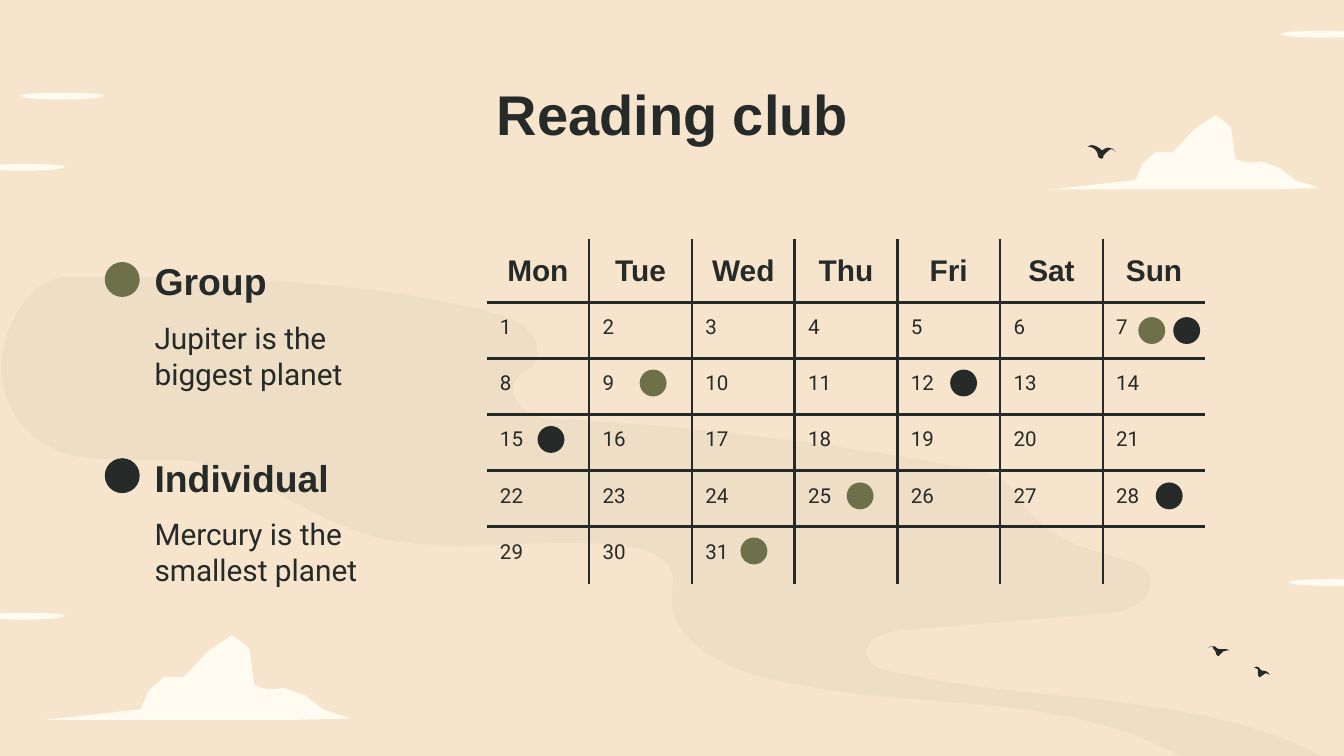
from dataclasses import dataclass
from itertools import product

from lxml import etree
from pptx import Presentation
from pptx import util as u
from pptx.dml.color import RGBColor
from pptx.enum import shapes, text
from pptx.oxml.ns import qn

Outline = tuple[tuple[float, ...], ...]  # start point, then lines (2 numbers) and curves (6)


@dataclass(frozen=True)
class Theme:
    sand: str = "F6E5CC"
    trail: str = "EEDEC5"
    cloud: str = "FFFBF0"
    ink: str = "262A29"
    olive: str = "6E704A"
    heading_font: str = "Arial"
    body_font: str = "Roboto"
    title_size: int = 30
    heading_size: int = 20
    body_size: int = 16
    date_size: int = 11
    grid_width: float = 1.5


THEME = Theme()


@dataclass(frozen=True)
class Dot:
    left: float
    top: float
    color: str
    size: float = 0.2


@dataclass(frozen=True)
class ClubType:
    name: str
    description: str
    top: float
    color: str


CLUB_TYPES = (
    ClubType("Group", "Jupiter is the biggest planet", 1.87, THEME.olive),
    ClubType("Individual", "Mercury is the smallest planet", 3.33, THEME.ink),
)
MEETINGS = (
    Dot(4, 3.17, THEME.ink), Dot(4.76, 2.75, THEME.olive), Dot(6.3, 3.59, THEME.olive),
    Dot(8.47, 2.36, THEME.olive), Dot(8.73, 2.36, THEME.ink), Dot(8.6, 3.59, THEME.ink),
    Dot(7.07, 2.75, THEME.ink), Dot(5.51, 4, THEME.olive),
)
WEEKDAYS = ("Mon", "Tue", "Wed", "Thu", "Fri", "Sat", "Sun")
DAYS_IN_MONTH = 31
ROW_HEIGHTS = (0.47, *[1.67 / 4] * 4, 0.43)
CALENDAR_WIDTH = 5.35
WISP_PLACES = ((0.15, 0.69), (-0.14, 4.56), (-0.14, 1.22), (9.53, 0.23), (9.59, 4.31))

TRAIL: Outline = (
    (0.55, 2.06), (1.55, 2.06, 2.67, 2.07, 3.64, 2.32), (3.74, 2.35, 3.85, 2.38, 3.92, 2.45),
    (4, 2.52, 4.03, 2.64, 3.96, 2.72), (3.91, 2.78, 3.81, 2.8, 3.82, 2.91),
    (3.83, 2.97, 3.86, 3.02, 3.91, 3.05), (4, 3.11, 4.1, 3.12, 4.21, 3.12),
    (5.19, 3.18, 6.16, 3.29, 7.12, 3.47), (7.25, 3.49, 7.39, 3.52, 7.49, 3.6),
    (7.52, 3.62, 7.54, 3.65, 7.56, 3.68), (7.68, 3.88, 7.9, 4.03, 8.14, 4.1), (8.38, 4.17),
    (8.45, 4.19, 8.54, 4.22, 8.56, 4.3), (8.57, 4.36, 8.55, 4.42, 8.51, 4.46),
    (8.42, 4.55, 8.29, 4.56, 8.17, 4.57), (7.69, 4.61, 7.2, 4.65, 6.72, 4.69),
    (6.59, 4.7, 6.41, 4.76, 6.45, 4.88), (6.46, 4.93, 6.51, 4.97, 6.57, 4.98),
    (7.71, 5.26, 9.01, 5.11, 10, 5.72), (8.86, 5.67), (7.94, 5.11, 6.73, 5.31, 5.67, 5.04),
    (5.35, 4.95, 4.99, 4.76, 5, 4.45), (5, 4.39, 5.02, 4.32, 5, 4.26),
    (4.96, 4.14, 4.82, 4.09, 4.69, 4.07), (4.54, 4.05, 4.39, 4.04, 4.23, 4.04),
    (3.97, 4.04, 3.7, 4.06, 3.43, 4.06), (3.2, 4.06, 2.96, 4.05, 2.74, 3.98),
    (2.27, 3.84, 1.89, 3.5, 1.4, 3.43), (1.33, 3.42, 1.25, 3.42, 1.18, 3.42),
    (1.08, 3.42, 0.98, 3.42, 0.89, 3.42), (0.74, 3.42, 0.6, 3.41, 0.47, 3.37),
    (0.19, 3.27, 0, 3, 0.01, 2.72), (0.02, 2.45, 0.21, 2.06, 0.51, 2.06),
)
CLOUD: Outline = (
    (1.22, 0), (1.3, 0.04, 1.34, 0.09, 1.34, 0.09), (1.37, 0.32),
    (1.41, 0.34, 1.45, 0.35, 1.49, 0.35), (1.53, 0.35, 1.56, 0.34, 1.56, 0.34),
    (1.7, 0.39), (1.82, 0.48), (2, 0.54), (1.61, 0.55), (0, 0.55), (0.63, 0.48),
    (0.68, 0.36), (0.78, 0.27), (0.91, 0.27), (1.07, 0.1), (1.22, 0),
)
WISP: Outline = (
    (0.31, 0), (0.48, 0, 0.62, 0.01, 0.62, 0.02), (0.62, 0.04, 0.48, 0.05, 0.31, 0.05),
    (0.14, 0.05, 0, 0.04, 0, 0.02), (0, 0.01, 0.14, 0, 0.31, 0),
)
BIRDS: tuple[Outline, ...] = (
    ((8.12, 1.08), (8.15, 1.08, 8.18, 1.1, 8.2, 1.12), (8.2, 1.12),
     (8.21, 1.11, 8.23, 1.1, 8.24, 1.1), (8.24, 1.1, 8.25, 1.1, 8.25, 1.1),
     (8.27, 1.1, 8.29, 1.11, 8.3, 1.13), (8.29, 1.12, 8.28, 1.11, 8.27, 1.11),
     (8.26, 1.11, 8.25, 1.12, 8.25, 1.12), (8.23, 1.13, 8.22, 1.15, 8.21, 1.16),
     (8.21, 1.17, 8.21, 1.18, 8.2, 1.18), (8.2, 1.18, 8.19, 1.18, 8.19, 1.18),
     (8.18, 1.18, 8.17, 1.17, 8.17, 1.16), (8.17, 1.12, 8.13, 1.09, 8.09, 1.09),
     (8.1, 1.08, 8.11, 1.08, 8.12, 1.08)),
    ((9.35, 4.96), (9.36, 4.96, 9.37, 4.97, 9.37, 4.97), (9.38, 4.98, 9.38, 4.99, 9.39, 4.99),
     (9.39, 4.99), (9.39, 4.99, 9.39, 4.99, 9.39, 4.99), (9.42, 4.99, 9.44, 5, 9.45, 5.02),
     (9.44, 5.01, 9.43, 5.01, 9.42, 5.01), (9.41, 5.01, 9.4, 5.02, 9.39, 5.03),
     (9.38, 5.03, 9.38, 5.04, 9.37, 5.04), (9.36, 5.03, 9.36, 5.02, 9.36, 5.02),
     (9.36, 5.01, 9.36, 4.99, 9.36, 4.98), (9.35, 4.98, 9.35, 4.97, 9.34, 4.97),
     (9.34, 4.97, 9.33, 4.97, 9.33, 4.97), (9.34, 4.97, 9.34, 4.96, 9.35, 4.96)),
    ((9.02, 4.81), (9.03, 4.81, 9.04, 4.81, 9.04, 4.81), (9.05, 4.82, 9.06, 4.83, 9.07, 4.83),
     (9.07, 4.83), (9.08, 4.83, 9.09, 4.83, 9.1, 4.83), (9.12, 4.83, 9.14, 4.83, 9.15, 4.84),
     (9.15, 4.84, 9.14, 4.84, 9.13, 4.84), (9.11, 4.84, 9.09, 4.85, 9.08, 4.87),
     (9.08, 4.88, 9.07, 4.88, 9.07, 4.88), (9.06, 4.88, 9.06, 4.88, 9.06, 4.88),
     (9.05, 4.88, 9.05, 4.88, 9.05, 4.87), (9.05, 4.85, 9.04, 4.84, 9.03, 4.83),
     (9.03, 4.82, 9.02, 4.81, 9.01, 4.81), (9, 4.81, 9, 4.81, 8.99, 4.82),
     (9, 4.81, 9.01, 4.81, 9.02, 4.81)),
)


def paint(shape, color: str) -> None:
    shape.shadow.inherit = False
    shape.fill.solid()
    shape.fill.fore_color.rgb = RGBColor.from_string(color)
    shape.line.fill.background()


def draw_outline(slide, outline: Outline, color: str, left: float = 0, top: float = 0,
                 scale: float = 1) -> None:
    """Draw all points as lines, then join each curve's three points into one Bezier."""
    points = [(u.Inches(left + x * scale), u.Inches(top + y * scale))
              for segment in outline for x, y in zip(segment[::2], segment[1::2])]
    builder = slide.shapes.build_freeform(*points[0])
    builder.add_line_segments(points[1:], close=True)
    shape = builder.convert_to_shape()
    lines = iter(list(shape.element.iter(qn("a:lnTo"))))
    for segment in outline[1:]:
        first = next(lines)
        if len(segment) == 6:
            first.tag = qn("a:cubicBezTo")
            for line in (next(lines), next(lines)):
                first.append(line[0])
                line.getparent().remove(line)
    paint(shape, color)


def draw_dot(slide, dot: Dot) -> None:
    box = map(u.Inches, (dot.left, dot.top, dot.size, dot.size))
    paint(slide.shapes.add_shape(shapes.MSO_SHAPE.OVAL, *box), dot.color)


def add_run(paragraph, words: str, size: int, heading: bool) -> None:
    run = paragraph.add_run()
    run.text = words
    run.font.name = THEME.heading_font if heading else THEME.body_font
    run.font.size = u.Pt(size)
    run.font.bold = heading
    run.font.color.rgb = RGBColor.from_string(THEME.ink)


def set_margins(target) -> None:
    target.margin_left = target.margin_right = u.Inches(0.1)
    target.margin_top = target.margin_bottom = u.Inches(0.1)


def fill_placeholder(shape, box: tuple[float, ...], words: str, size: int, heading: bool,
                     anchor, alignment=text.PP_ALIGN.LEFT) -> None:
    """Place, format and fill a placeholder, and bring it in front of the scenery."""
    shape.left, shape.top, shape.width, shape.height = map(u.Inches, box)
    frame = shape.text_frame
    frame.auto_size = text.MSO_AUTO_SIZE.NONE
    frame.word_wrap = True
    frame.vertical_anchor = anchor
    set_margins(frame)
    paragraph = frame.paragraphs[0]
    paragraph.alignment = alignment
    paragraph.space_before = u.Pt(0)
    properties = paragraph._p.get_or_add_pPr()
    properties.set("marL", "0")
    properties.set("indent", "0")
    etree.SubElement(properties, qn("a:buNone"))
    add_run(paragraph, words, size, heading)
    shape.element.getparent().append(shape.element)


def set_borders(cell, inner_sides: dict[str, bool]) -> None:
    """Rule the inner sides of a cell and leave its outer sides open."""
    properties = cell._tc.get_or_add_tcPr()
    for side, inner in inner_sides.items():
        line = etree.SubElement(properties, qn(f"a:ln{side}"), w=str(u.Pt(THEME.grid_width)))
        fill = etree.SubElement(line, qn("a:solidFill" if inner else "a:noFill"))
        if inner:
            etree.SubElement(fill, qn("a:srgbClr"), val=THEME.ink)


def draw_calendar(slide) -> None:
    columns, rows = len(WEEKDAYS), len(ROW_HEIGHTS)
    box = map(u.Inches, (3.62, 1.78, CALENDAR_WIDTH, sum(ROW_HEIGHTS)))
    table = slide.shapes.add_table(rows, columns, *box).table
    table.first_row = table.horz_banding = False
    for column in table.columns:
        column.width = u.Inches(CALENDAR_WIDTH / columns)
    for row, height in zip(table.rows, ROW_HEIGHTS):
        row.height = u.Inches(height)
    for row, column in product(range(rows), range(columns)):
        cell = table.cell(row, column)
        set_borders(cell, {"L": column > 0, "R": column < columns - 1,
                           "T": row > 0, "B": row < rows - 1})
        cell.fill.background()
        paragraph = cell.text_frame.paragraphs[0]
        day = (row - 1) * columns + column + 1
        if row == 0:
            set_margins(cell)
            cell.vertical_anchor = text.MSO_ANCHOR.MIDDLE
            paragraph.alignment = text.PP_ALIGN.CENTER
            add_run(paragraph, WEEKDAYS[column], THEME.body_size, True)
        elif day <= DAYS_IN_MONTH:
            set_margins(cell)
            add_run(paragraph, str(day), THEME.date_size, False)


def draw_scenery(slide) -> None:
    slide.background.fill.solid()
    slide.background.fill.fore_color.rgb = RGBColor.from_string(THEME.sand)
    draw_outline(slide, TRAIL, THEME.trail)
    draw_outline(slide, CLOUD, THEME.cloud, 7.82, 0.86)
    draw_outline(slide, CLOUD, THEME.cloud, 0.33, 4.73, 1.14)
    for left, top in WISP_PLACES:
        draw_outline(slide, WISP, THEME.cloud, left, top)
    for bird in BIRDS:
        draw_outline(slide, bird, THEME.ink)


def main() -> None:
    presentation = Presentation()
    presentation.slide_width = u.Inches(10)
    presentation.slide_height = u.Emu(presentation.slide_width * 9 // 16)
    slide = presentation.slides.add_slide(presentation.slide_layouts.get_by_name("Comparison"))
    title, *bodies = list(slide.placeholders)
    draw_scenery(slide)
    fill_placeholder(title, (0.79, 0.49, 8.43, 0.63), "Reading club", THEME.title_size, True,
                     text.MSO_ANCHOR.TOP, text.PP_ALIGN.CENTER)
    draw_calendar(slide)
    for club, heading, body in zip(CLUB_TYPES, bodies[::2], bodies[1::2]):
        fill_placeholder(heading, (1.05, club.top, 2.21, 0.44), club.name,
                         THEME.heading_size, True, text.MSO_ANCHOR.MIDDLE)
        fill_placeholder(body, (1.05, club.top + 0.41, 2.21, 0.53), club.description,
                         THEME.body_size, False, text.MSO_ANCHOR.TOP)
    legend = tuple(Dot(0.78, club.top + 0.08, club.color, 0.26) for club in CLUB_TYPES)
    for dot in legend + MEETINGS:
        draw_dot(slide, dot)
    presentation.save("out.pptx")


if __name__ == "__main__":
    main()
